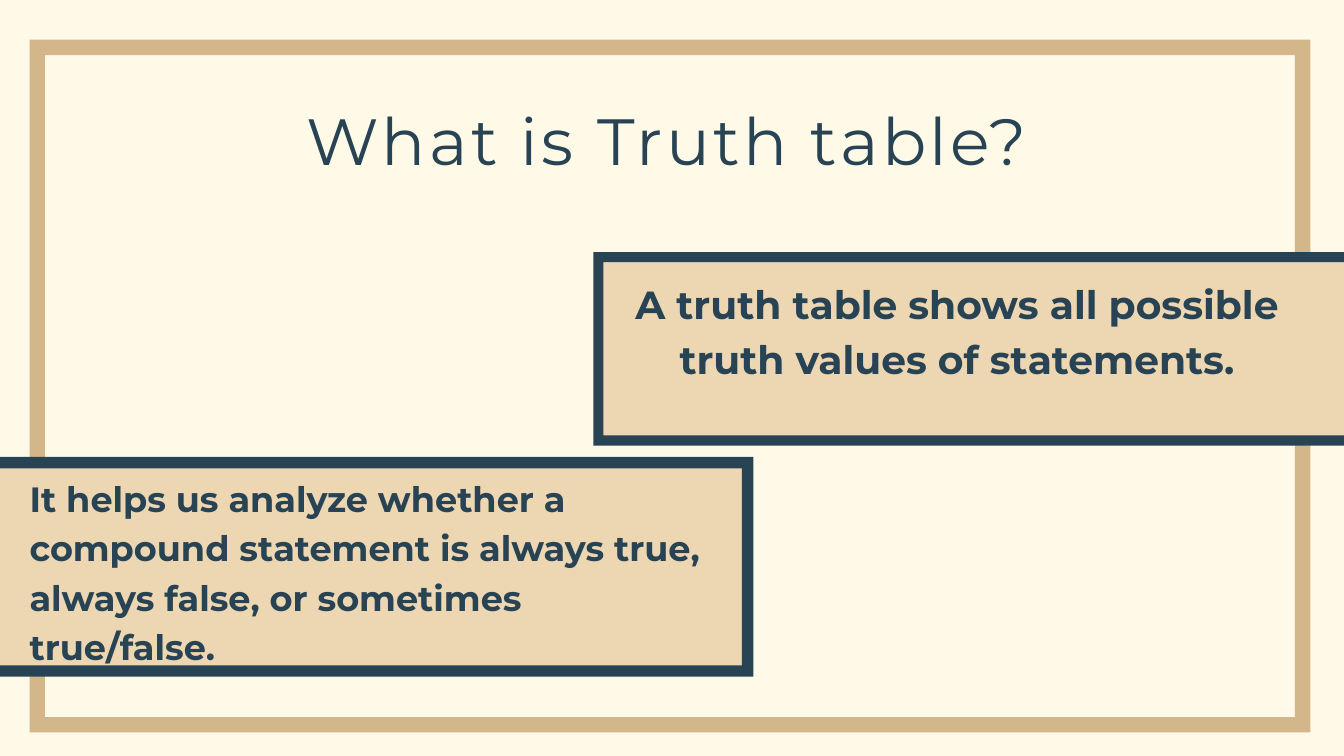
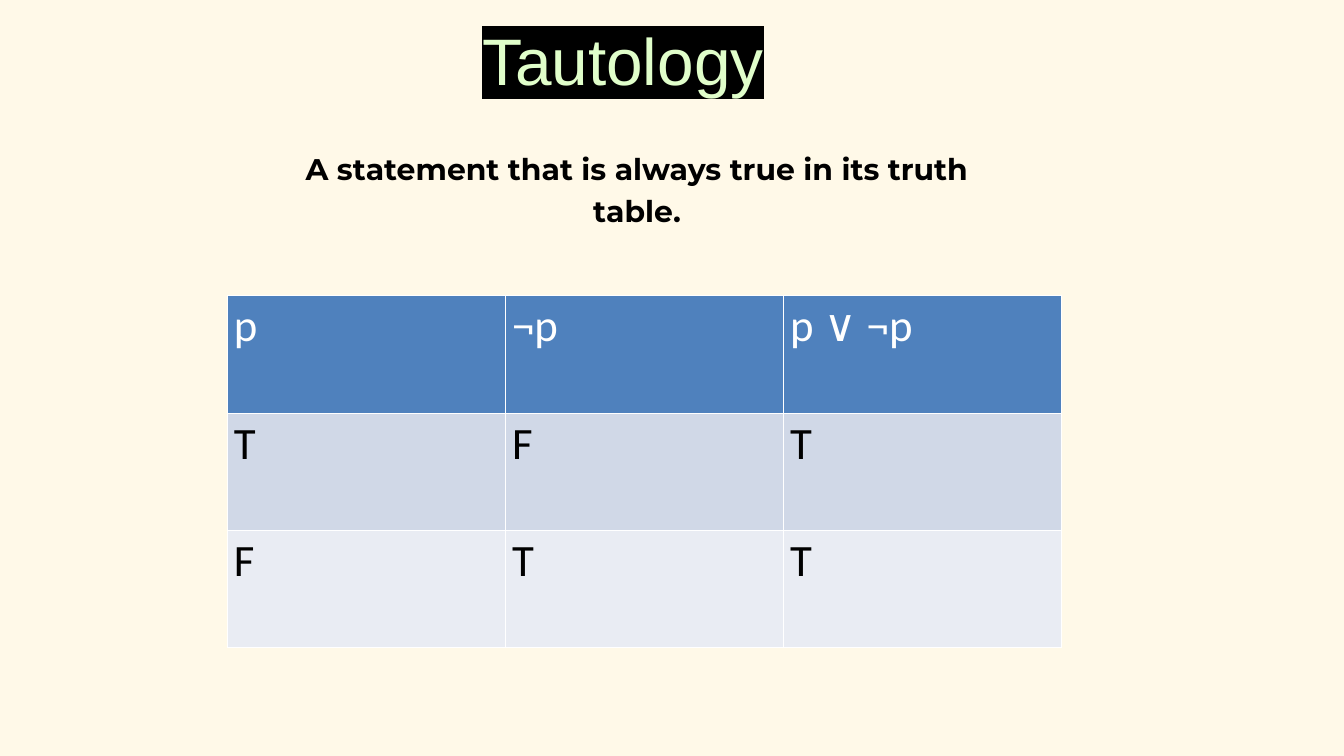
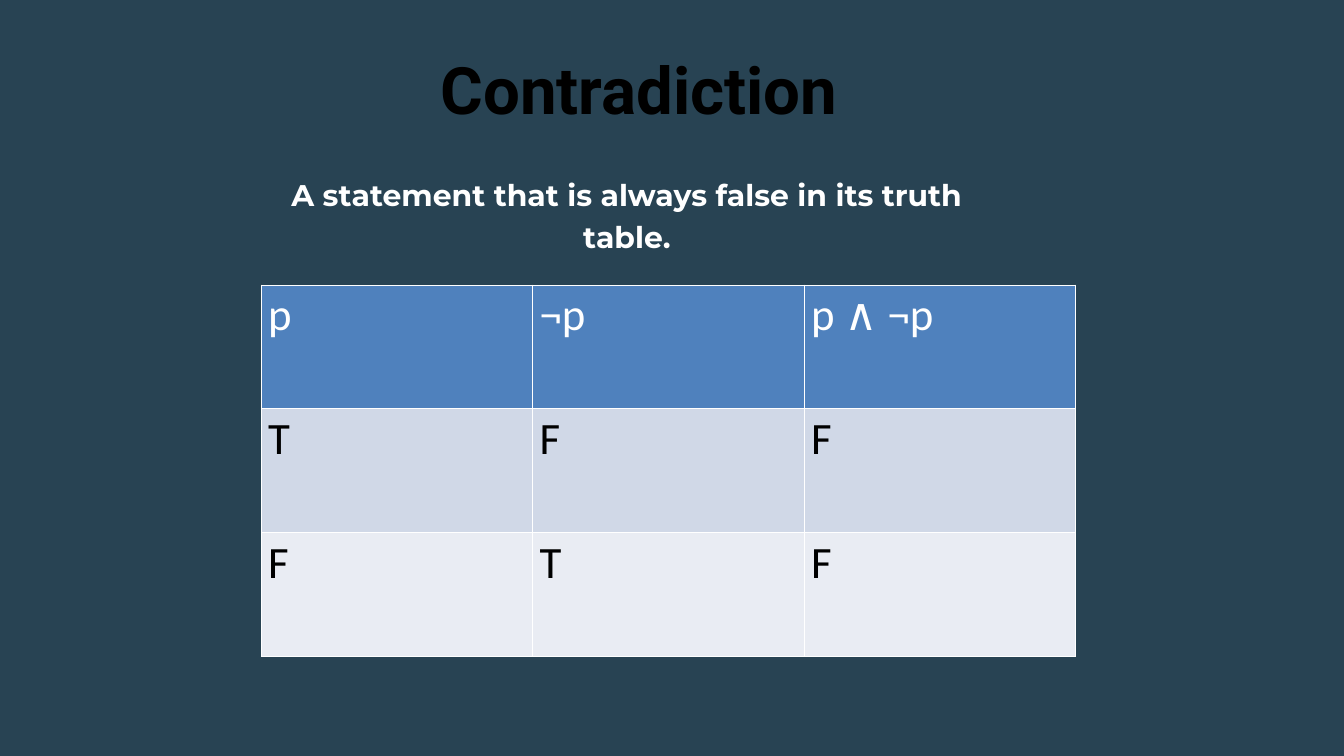
import dataclasses
import typing

import lxml.etree
import pptx
import pptx.dml.color
import pptx.enum.shapes
import pptx.enum.text
import pptx.oxml.ns
import pptx.util

Inches = pptx.util.Inches
Pt = pptx.util.Pt
Shape = pptx.enum.shapes.MSO_SHAPE
Align = pptx.enum.text.PP_ALIGN
qn = pptx.oxml.ns.qn

COLORS = {
    "cream": "FFF9E8", "navy": "284353", "tan": "D3B689", "sand": "EDD6B2",
    "black": "000000", "white": "FFFFFF", "lime": "E0FECA",
    "head": "4F81BD", "odd": "D0D8E7", "even": "E9ECF3",
}
ROWS = (("head", "white"), ("odd", "black"), ("even", "black"))


@dataclasses.dataclass
class Box:
    left: float
    top: float
    width: float
    height: float

    def place(self) -> tuple:
        return tuple(Inches(n) for n in (self.left, self.top, self.width, self.height))


@dataclasses.dataclass
class Panel:
    fill: Box
    frame: Box
    edge: float
    text: Box
    words: str
    style: dict


@dataclasses.dataclass
class Proof:
    ground: str
    title: str
    title_box: Box
    title_style: dict
    claim: str
    claim_box: Box
    claim_color: str
    grid_box: Box
    grid: list[str]


PANELS = [
    Panel(Box(8.91, 3.83, 12.03, 2.73), Box(8.83, 3.75, 12.19, 2.88), 0.15,
          Box(9.36, 4.05, 9.76, 1.59),
          "A truth table shows all possible truth values of statements.",
          dict(size=42, space=58.8, align=Align.CENTER)),
    Panel(Box(-0.19, 6.88, 11.32, 3.1), Box(-0.28, 6.8, 11.49, 3.27), 0.17,
          Box(0.44, 7, 10.01, 2.16),
          "It helps us analyze whether a compound statement is always true, "
          "always false, or sometimes true/false.",
          dict(size=37.6, space=52.8, align=Align.LEFT)),
]
PROOFS = [
    Proof("cream", "Tautology", Box(5.8, 0.63, 6.94, 0.83),
          dict(size=70.4, font="Arial", color="lime", space=59.9, mark="black"),
          "A statement that is always true in its truth table.",
          Box(4.06, 2.15, 10.84, 0.59), "black",
          Box(3.38, 4.4, 12.42, 5.24), ["p|¬p|p ∨ ¬p", "T|F|T", "F|T|T"]),
    Proof("navy", "Contradiction", Box(5.01, 1.07, 9, 0.9),
          dict(size=70, font="Roboto", color="black", space=59.5, bold=True),
          "A statement that is always false in its truth table.",
          Box(3.86, 2.54, 10.94, 0.59), "white",
          Box(3.89, 4.24, 12.12, 5.53), ["p|¬p|p ∧ ¬p", "T|F|F", "F|T|F"]),
]


def rgb(name: str) -> pptx.dml.color.RGBColor:
    return pptx.dml.color.RGBColor.from_string(COLORS[name])


def tint(props: typing.Any, name: str) -> None:
    fill = lxml.etree.SubElement(props, qn("a:solidFill"))
    lxml.etree.SubElement(fill, qn("a:srgbClr"), val=COLORS[name])


def write(frame: typing.Any, words: str, *, size: float, color: str,
          font: str = "Montserrat", bold: bool = False,
          align: typing.Any = Align.CENTER, space: float | None = None,
          track: float = 0, mark: str | None = None) -> None:
    para = frame.paragraphs[0]
    para.alignment = align
    if space:
        para.line_spacing = Pt(space)
    run = para.add_run()
    run.text = words
    run.font.size = Pt(size)
    run.font.bold = bold
    run.font.color.rgb = rgb(color)
    run.font.name = font
    props = run._r.get_or_add_rPr()
    if track:
        props.set("spc", str(round(track * 100)))
    if mark:
        light = lxml.etree.Element(qn("a:highlight"))
        lxml.etree.SubElement(light, qn("a:srgbClr"), val=COLORS[mark])
        props.find(qn("a:solidFill")).addnext(light)


def fit(shape: typing.Any, words: str, **style: typing.Any) -> None:
    frame = shape.text_frame
    frame.margin_left = frame.margin_right = frame.margin_top = frame.margin_bottom = 0
    frame.word_wrap = True
    frame.vertical_anchor = pptx.enum.text.MSO_ANCHOR.TOP
    frame.auto_size = pptx.enum.text.MSO_AUTO_SIZE.SHAPE_TO_FIT_TEXT
    write(frame, words, **style)


def label(slide: typing.Any, box: Box, words: str, **style: typing.Any) -> None:
    fit(slide.shapes.add_textbox(*box.place()), words, **style)


def head(slide: typing.Any, box: Box, words: str, **style: typing.Any) -> None:
    title = slide.shapes.title
    title.left, title.top, title.width, title.height = box.place()
    fit(title, words, **style)


def block(slide: typing.Any, box: Box, color: str, edge: float = 0) -> None:
    kind = Shape.FRAME if edge else Shape.RECTANGLE
    shape = slide.shapes.add_shape(kind, *box.place())
    if edge:
        shape.adjustments[0] = edge / min(box.width, box.height)
    shape.shadow.inherit = False
    shape.fill.solid()
    shape.fill.fore_color.rgb = rgb(color)
    shape.line.fill.background()


def draw(slide: typing.Any, panel: Panel) -> None:
    block(slide, panel.fill, "sand")
    block(slide, panel.frame, "navy", panel.edge)
    label(slide, panel.text, panel.words, color="navy", bold=True, **panel.style)


def grid(slide: typing.Any, box: Box, lines: list[str]) -> None:
    cells = [line.split("|") for line in lines]
    table = slide.shapes.add_table(len(cells), len(cells[0]), *box.place()).table
    table.first_row = table.horz_banding = False
    for row, (words, (back, ink)) in enumerate(zip(cells, ROWS)):
        for col, word in enumerate(words):
            cell = table.cell(row, col)
            props = cell._tc.get_or_add_tcPr()
            for side in ("lnL", "lnR", "lnT", "lnB"):
                line = lxml.etree.SubElement(props, qn(f"a:{side}"), w=str(Pt(0.96)))
                tint(line, "white")
            cell.fill.solid()
            cell.fill.fore_color.rgb = rgb(back)
            write(cell.text_frame, word, size=48, color=ink, font="Calibri",
                  align=Align.LEFT)


def start(deck: typing.Any, ground: str) -> typing.Any:
    slide = deck.slides.add_slide(deck.slide_layouts.get_by_name("Title Only"))
    slide.background.fill.solid()
    slide.background.fill.fore_color.rgb = rgb(ground)
    return slide


def intro(deck: typing.Any) -> None:
    slide = start(deck, "cream")
    block(slide, Box(0.44, 0.59, 19.06, 10.31), "tan", 0.23)
    head(slide, Box(2.03, 1.3, 15.8, 1.31), "What is Truth table?",
         size=70, color="navy", space=98, track=3.5)
    for panel in PANELS:
        draw(slide, panel)


def prove(deck: typing.Any, proof: Proof) -> None:
    slide = start(deck, proof.ground)
    head(slide, proof.title_box, proof.title, **proof.title_style)
    label(slide, proof.claim_box, proof.claim, size=32, space=44.8,
          color=proof.claim_color, bold=True)
    grid(slide, proof.grid_box, proof.grid)


def main() -> None:
    deck = pptx.Presentation()
    deck.slide_width, deck.slide_height = Inches(20), Inches(11.25)
    intro(deck)
    for proof in PROOFS:
        prove(deck, proof)
    deck.save("out.pptx")


if __name__ == "__main__":
    main()
